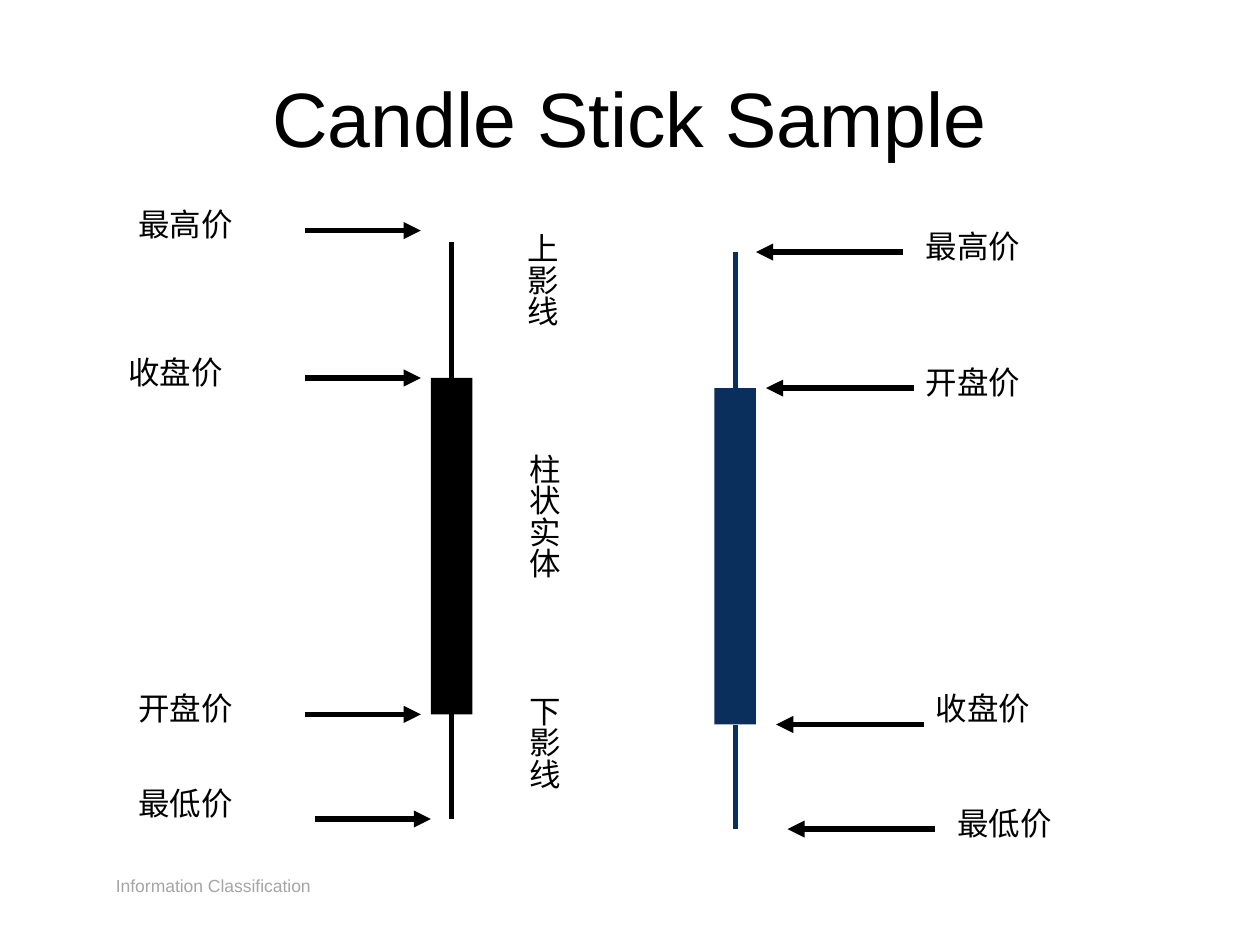
from pptx import Presentation
from pptx.dml.color import RGBColor
from pptx.enum.shapes import MSO_CONNECTOR as CONN, MSO_SHAPE as SHAPE
from pptx.enum.text import MSO_ANCHOR as ANCHOR, MSO_AUTO_SIZE as AUTO, PP_ALIGN as ALIGN
from pptx.oxml.ns import qn
from pptx.util import Inches, Pt
from lxml.etree import SubElement

BLACK, NAVY = "000000", "0A2F5D"


def add_text(tf, text, size, color=BLACK):
    p = tf.paragraphs[0]
    r = p.add_run()
    r.text = text
    for name, value in {"name": "Arial", "size": Pt(size)}.items():
        setattr(r.font, name, value)
    r.font.color.rgb = RGBColor.from_string(color)
    return p


def add_line(shapes, x1, y1, x2, y2, color, width):
    line = shapes.add_connector(CONN.STRAIGHT, Inches(x1), Inches(y1), Inches(x2), Inches(y2))
    line.line.color.rgb = RGBColor.from_string(color)
    line.line.width = Pt(width)
    SubElement(line._element.spPr, qn("a:effectLst"))
    return line


prs = Presentation()
prs.slide_width, prs.slide_height = Inches(10), Inches(7.5)
s = prs.slides.add_slide(prs.slide_layouts[5])

# Title
title = s.shapes.title
title.left, title.top, title.width, title.height = map(Inches, (0.5, 0.3, 9, 1.25))
title.text_frame.vertical_anchor = ANCHOR.MIDDLE
add_text(title.text_frame, "Candle Stick Sample", 44).alignment = ALIGN.CENTER

# Footer
footer = s.shapes.add_textbox(Inches(0.92), Inches(6.86), Inches(7), Inches(0.25))
footer.fill.solid()
footer.fill.fore_color.rgb = RGBColor.from_string("FFFFFF")
tf = footer.text_frame
for side in ("left", "top", "right", "bottom"):
    setattr(tf, f"margin_{side}", 0)
tf.word_wrap = True
tf.vertical_anchor = ANCHOR.BOTTOM
add_text(tf, "Information Classification", 10, "A5A5A5")

# Candles: a body with a shadow line above and below
BODY_W, BODY_H, UPPER, LOWER = 0.33, 2.67, 1.08, 0.83
for left, top, color in ((3.42, 3, BLACK), (5.67, 3.08, NAVY)):
    candle = s.shapes.add_group_shape()
    body = candle.shapes.add_shape(SHAPE.RECTANGLE, Inches(left), Inches(top),
                                   Inches(BODY_W), Inches(BODY_H))
    body.shadow.inherit = False
    body.fill.solid()
    body.fill.fore_color.rgb = RGBColor.from_string(color)
    body.line.fill.background()
    x, bottom = left + BODY_W / 2, top + BODY_H
    for site, y1, y2 in ((2, bottom, bottom + LOWER), (0, top, top - UPPER)):
        add_line(candle.shapes, x, y1, x, y2, color, 3).begin_connect(body, site)

# Price labels and the arrows that lead from them to the candles
LEFT_ARROW, RIGHT_ARROW = 0.92, -1.17
prices = [
    # text, label left, top, width, arrow start x, y, length
    ("最高价", 1, 1.58, 1.33, 2.42, 1.83, LEFT_ARROW),
    ("收盘价", 0.92, 2.75, 1.25, 2.42, 3, LEFT_ARROW),
    ("开盘价", 1, 5.42, 1.33, 2.42, 5.67, LEFT_ARROW),
    ("最低价", 1, 6.17, 1.33, 2.5, 6.5, LEFT_ARROW),
    ("最高价", 7.25, 1.75, 1.5, 7.17, 2, RIGHT_ARROW),
    ("开盘价", 7.25, 2.83, 1.42, 7.25, 3.08, RIGHT_ARROW),
    ("收盘价", 7.33, 5.42, 1.25, 7.33, 5.75, RIGHT_ARROW),
    ("最低价", 7.5, 6.33, 1.33, 7.42, 6.58, RIGHT_ARROW),
]
for text, left, top, width, x, y, length in prices:
    label = s.shapes.add_textbox(Inches(left), Inches(top), Inches(width), Inches(0.5))
    label.text_frame.word_wrap = True
    add_text(label.text_frame, text, 18)
    arrow = add_line(s.shapes, x, y, x + length, y, BLACK, 3.25)
    SubElement(arrow.line._get_or_add_ln(), qn("a:tailEnd"), type="triangle")

# Vertical names of the candle parts
for text, left, top, height in (("上影线", 3.9, 1.75, 1.25),
                                ("柱状实体", 3.92, 3.5, 1.67),
                                ("下影线", 3.92, 5.42, 1.25)):
    part = s.shapes.add_textbox(Inches(left), Inches(top), Inches(0.6), Inches(height))
    tf = part.text_frame
    tf.word_wrap = True
    tf.auto_size = AUTO.NONE
    tf._txBody.bodyPr.set("vert", "eaVert")
    add_text(tf, text, 18)

prs.save("out.pptx")
